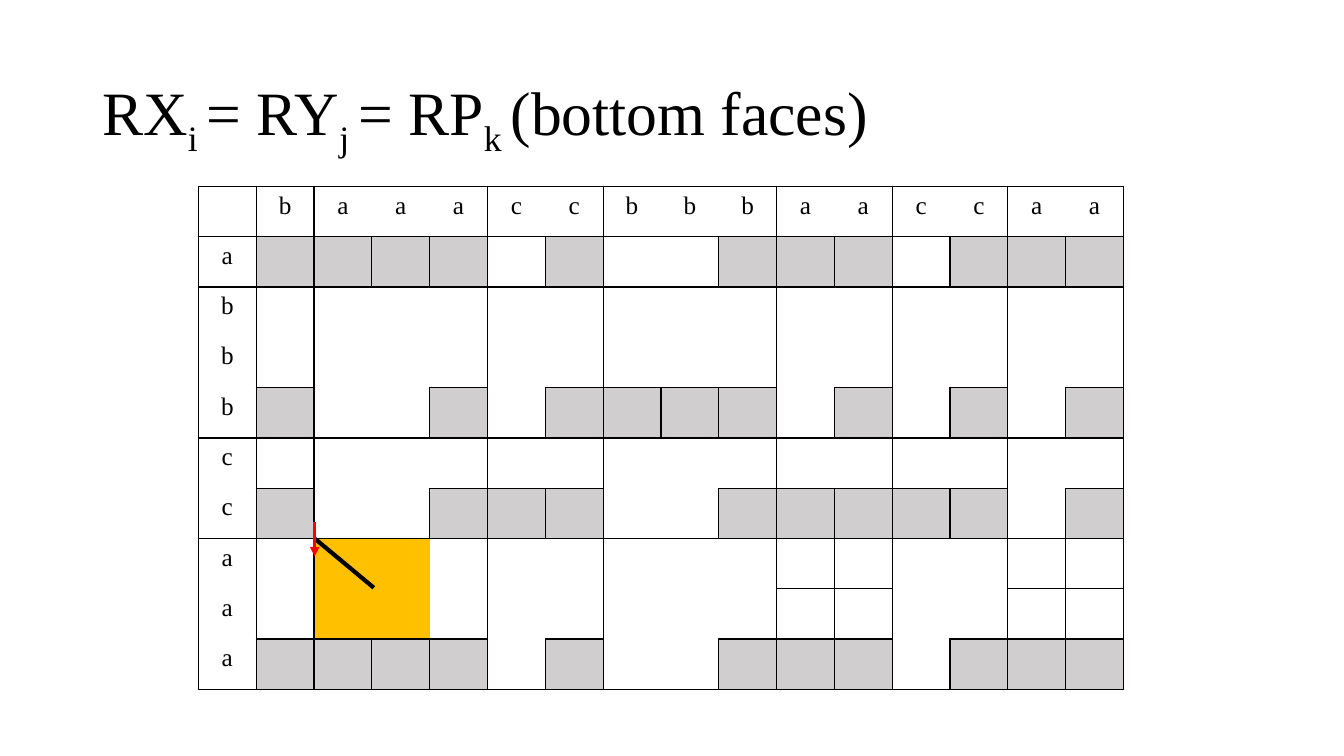
from dataclasses import dataclass

from lxml import etree
from pptx import Presentation
from pptx.dml.color import RGBColor
from pptx.enum import shapes, text
from pptx.oxml import ns
from pptx.util import Cm, Pt


@dataclass(frozen=True)
class Theme:
    font: str = "Times New Roman"
    title_size: float = 44
    label_size: float = 18
    border_width: float = 1
    black: str = "000000"
    white: str = "FFFFFF"
    gray: str = "D0CECE"
    orange: str = "FFC000"
    red: str = "FF0000"


THEME = Theme()

TITLE = [("RX", False), ("i ", True), ("= RY", False), ("j ", True),
         ("= RP", False), ("k ", True), ("(bottom faces)", False)]

# The first character of each word is the empty corner cell.
COLUMN_WORD = " baaaccbbbaaccaa"
ROW_WORD = " abbbccaaa"
EXTRA_SHADED = {(6, 10)}
HIGHLIGHTED = {(row, column) for row in (7, 8) for column in (2, 3)}
RULED = {(row, column) for row in (7, 8) for column in (10, 11, 14, 15)}
SIDES = {"lnL": (0, -1), "lnR": (0, 1), "lnT": (-1, 0), "lnB": (1, 0)}


def set_font(font, size):
    values = {"name": THEME.font, "size": Pt(size), "bold": False}
    for name, value in values.items():
        setattr(font, name, value)
    font.color.rgb = RGBColor.from_string(THEME.black)


def add_title(slide, runs, left, top, width, height):
    """Add a title from (text, is_subscript) pairs."""
    frame = slide.shapes.add_textbox(left, top, width, height).text_frame
    frame.word_wrap = True
    frame.vertical_anchor = text.MSO_ANCHOR.MIDDLE
    paragraph = frame.paragraphs[0]
    paragraph.line_spacing = 0.9
    for content, is_subscript in runs:
        run = paragraph.add_run()
        run.text = content
        set_font(run.font, THEME.title_size)
        if is_subscript:
            run._r.get_or_add_rPr().set("baseline", "-25000")


def ends_run(word, index):
    return word[index:index + 2] != word[index] * 2


def is_shaded(row, column):
    """Shade a run's last row where the letters match or a column run ends."""
    if row == 0 or column == 0:
        return False
    matches = ROW_WORD[row] == COLUMN_WORD[column]
    on_face = ends_run(ROW_WORD, row) and (matches or ends_run(COLUMN_WORD, column))
    return on_face or (row, column) in EXTRA_SHADED


def has_border(cell_at, neighbour_at):
    """Draw a border around shaded and ruled cells and between letter runs."""
    if any(is_shaded(*place) or place in RULED for place in (cell_at, neighbour_at)):
        return True
    for word, index, other in zip((ROW_WORD, COLUMN_WORD), cell_at, neighbour_at):
        if not 0 <= other < len(word) or word[index] != word[other]:
            return True
    return False


def set_border(cell, side, visible):
    properties = cell._tc.get_or_add_tcPr()
    line = etree.SubElement(properties, ns.qn(f"a:{side}"), w=str(Pt(THEME.border_width)))
    if visible:
        fill = etree.SubElement(line, ns.qn("a:solidFill"))
        etree.SubElement(fill, ns.qn("a:srgbClr"), val=THEME.black)
    else:
        etree.SubElement(line, ns.qn("a:noFill"))


def cell_color(row, column):
    if (row, column) in HIGHLIGHTED:
        return THEME.orange
    return THEME.gray if is_shaded(row, column) else THEME.white


def cell_label(row, column):
    if row == 0:
        return COLUMN_WORD[column].strip()
    return ROW_WORD[row] if column == 0 else ""


def format_cell(cell, row, column):
    for side, (row_step, column_step) in SIDES.items():
        neighbour_at = (row + row_step, column + column_step)
        inside = neighbour_at[0] in range(len(ROW_WORD)) and neighbour_at[1] in range(len(COLUMN_WORD))
        set_border(cell, side, not inside or has_border((row, column), neighbour_at))
    cell.fill.solid()
    cell.fill.fore_color.rgb = RGBColor.from_string(cell_color(row, column))
    paragraph = cell.text_frame.paragraphs[0]
    paragraph.alignment = text.PP_ALIGN.CENTER
    label = cell_label(row, column)
    if label:
        run = paragraph.add_run()
        run.text = label
        set_font(run.font, THEME.label_size)


def add_word_table(slide, left, top, width, height):
    table = slide.shapes.add_table(
        len(ROW_WORD), len(COLUMN_WORD), left, top, width, height).table
    table.first_row = table.horz_banding = False
    for column in table.columns:
        column.width = width // len(COLUMN_WORD)
    for row in table.rows:
        row.height = height // len(ROW_WORD)
    for row in range(len(ROW_WORD)):
        for column in range(len(COLUMN_WORD)):
            format_cell(table.cell(row, column), row, column)


def add_line(slide, start, end, color, width, arrow=False):
    line = slide.shapes.add_connector(shapes.MSO_CONNECTOR.STRAIGHT, *start, *end)
    line.line.color.rgb = RGBColor.from_string(color)
    line.line.width = Pt(width)
    if arrow:
        etree.SubElement(line.line._get_or_add_ln(), ns.qn("a:tailEnd"), type="triangle")
    etree.SubElement(line._element.spPr, ns.qn("a:effectLst"))


def main():
    presentation = Presentation()
    presentation.slide_width, presentation.slide_height = Cm(33.87), Cm(19.05)
    slide = presentation.slides.add_slide(presentation.slide_layouts[6])
    add_title(slide, TITLE, Cm(2.33), Cm(1.01), Cm(29.21), Cm(3.68))
    add_word_table(slide, Cm(5), Cm(4.7), Cm(23.32), Cm(12.67))
    add_line(slide, (Cm(9.42), Cm(14.81)), (Cm(7.93), Cm(13.57)), THEME.black, 3)
    add_line(slide, (Cm(7.93), Cm(13.16)), (Cm(7.93), Cm(14.02)), THEME.red, 2.25, arrow=True)
    presentation.save("out.pptx")


if __name__ == "__main__":
    main()
